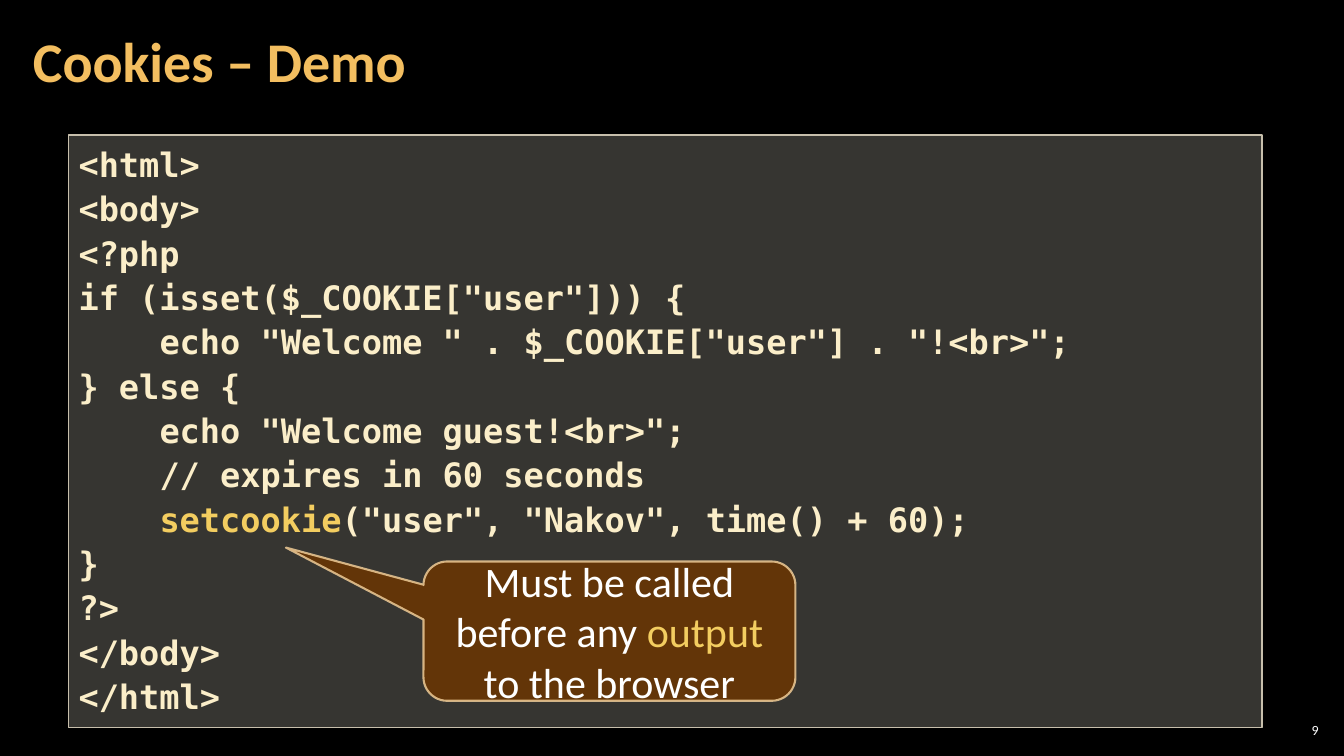
from lxml import etree
from pptx import Presentation
from pptx.dml.color import RGBColor
from pptx.enum.shapes import MSO_SHAPE
from pptx.enum.text import MSO_ANCHOR, MSO_AUTO_SIZE, PP_ALIGN
from pptx.oxml.ns import qn
from pptx.util import Cm, Pt

RECTANGLE = MSO_SHAPE.RECTANGLE
CALLOUT = MSO_SHAPE.ROUNDED_RECTANGULAR_CALLOUT
LEFT, CENTER, RIGHT = PP_ALIGN.LEFT, PP_ALIGN.CENTER, PP_ALIGN.RIGHT
TOP, MIDDLE = MSO_ANCHOR.TOP, MSO_ANCHOR.MIDDLE

COLORS = {
    "page": "000000", "title": "F3BE60", "white": "FFFFFF",
    "code": "FBEEC9", "highlight": "F3CD60",
    "panel": "D9D5C7", "panel_line": "C7BFAC",
    "callout": "663606", "callout_line": "F8D49E",
}
TEXT_FONT, CODE_FONT = "Calibri", "DejaVu Sans Mono"

# Each paragraph is a list of (text, colour) spans.
TITLE = [[("Cookies – Demo", "title")]]
PAGE_NUMBER = [[("9", "white")]]
NOTE = [[("Must be called before any ", "white"), ("output", "highlight"),
         (" to the browser", "white")]]
# Each code line is (indent level, spans).
CODE = [
    (0, [("<html>", "code")]),
    (0, [("<body>", "code")]),
    (0, [("<?php", "code")]),
    (0, [('if (isset($_COOKIE["user"])) {', "code")]),
    (1, [('echo "Welcome " . $_COOKIE["user"] . "!<br>";', "code")]),
    (0, [("} else {", "code")]),
    (1, [('echo "Welcome guest!<br>";', "code")]),
    (1, [("// expires in 60 seconds", "code")]),
    (1, [("setcookie", "highlight"),
         ('("user", "Nakov", time() + 60);', "code")]),
    (0, [("}", "code")]),
    (0, [("?>", "code")]),
    (0, [("</body>", "code")]),
    (0, [("</html>", "code")]),
]
INDENT = Cm(2.04)  # four characters of code

# left, top, width, height in centimetres
TITLE_AREA = (0.53, 0.1, 26.59, 3.07)
NUMBER_AREA = (32.13, 18.14, 1.19, 0.53)
CODE_AREA = (1.73, 3.4, 30.07, 14.94)
NOTE_AREA = (10.67, 14.15, 9.37, 3.51)
NOTE_ADJUSTMENTS = (-0.87, -0.6, 0.17)


def color(name):
    return RGBColor.from_string(COLORS[name])


def write(box, paragraphs, size, font=TEXT_FONT, bold=False, align=LEFT,
          anchor=MIDDLE, spacing=1.0, margins=(0.25, 0.13), levels=None):
    """Fill a box with paragraphs of (text, colour) spans; margins are (x, y) in cm."""
    frame = box.text_frame
    frame.word_wrap = True
    frame.vertical_anchor = anchor
    frame.margin_left = frame.margin_right = Cm(margins[0])
    frame.margin_top = frame.margin_bottom = Cm(margins[1])
    for index, spans in enumerate(paragraphs):
        para = frame.add_paragraph() if index else frame.paragraphs[0]
        para.alignment = align
        para.line_spacing = spacing
        if levels and levels[index]:
            para._p.get_or_add_pPr().set("marL", str(INDENT * levels[index]))
        for text, color_name in spans:
            span = para.add_run()
            span.text = text
            span.font.name = font
            span.font.size = Pt(size)
            span.font.bold = bold
            span.font.color.rgb = color(color_name)


def add_text(page, area, paragraphs, **text_format):
    box = page.shapes.add_textbox(*map(Cm, area))
    write(box, paragraphs, **text_format)


def add_panel(page, kind, area, fill, line, line_width, opacities):
    """Add a filled shape; opacities are percentages for the fill and the line."""
    panel = page.shapes.add_shape(kind, *map(Cm, area))
    panel.shadow.inherit = False
    panel.fill.solid()
    panel.fill.fore_color.rgb = color(fill)
    panel.line.color.rgb = color(line)
    panel.line.width = Pt(line_width)
    paints = panel.element.spPr.iter(qn("a:srgbClr"))
    for paint, opacity in zip(paints, opacities):
        etree.SubElement(paint, qn("a:alpha")).set("val", str(opacity * 1000))
    return panel


def main():
    deck = Presentation()
    deck.slide_width, deck.slide_height = Cm(33.86), Cm(19.05)
    page = deck.slides.add_slide(deck.slide_layouts[6])
    page.background.fill.solid()
    page.background.fill.fore_color.rgb = color("page")

    add_text(page, NUMBER_AREA, PAGE_NUMBER, size=10, align=RIGHT, margins=(0.1, 0.1))
    add_text(page, TITLE_AREA, TITLE, size=40, bold=True, spacing=0.9,
             margins=(0.3, 0.1))

    levels, lines = zip(*CODE)
    code_panel = add_panel(page, RECTANGLE, CODE_AREA, "panel", "panel_line", 1, (25, 100))
    write(code_panel, lines, size=24, font=CODE_FONT, bold=True, anchor=TOP,
          spacing=1.1, levels=levels)
    code_panel.text_frame.auto_size = MSO_AUTO_SIZE.SHAPE_TO_FIT_TEXT

    note = add_panel(page, CALLOUT, NOTE_AREA, "callout", "callout_line", 1.5, (95, 80))
    for index, value in enumerate(NOTE_ADJUSTMENTS):
        note.adjustments[index] = value
    write(note, NOTE, size=30, align=CENTER)

    deck.save("out.pptx")


if __name__ == "__main__":
    main()
